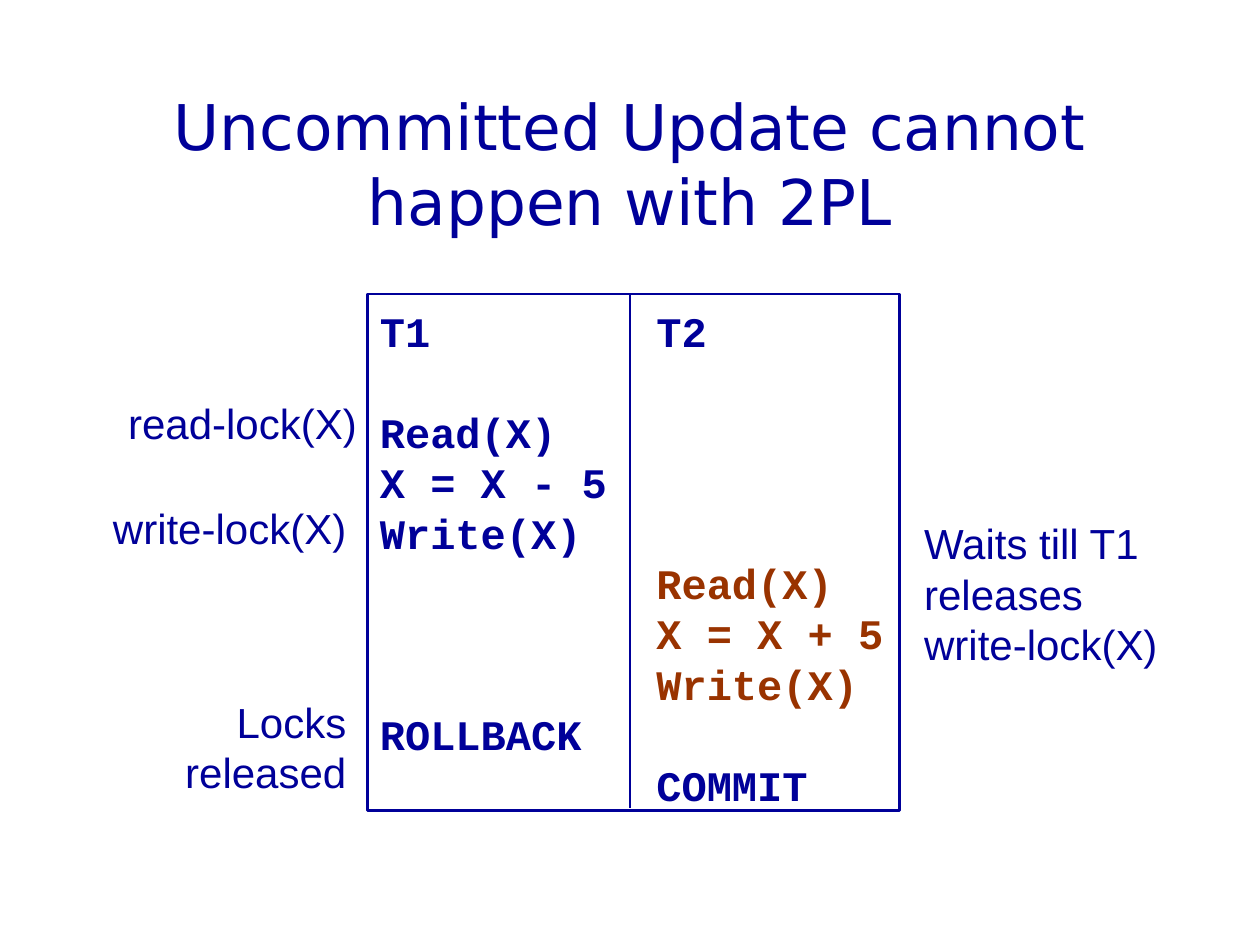
import pptx
import pptx.util
import pptx.dml.color
import pptx.enum.shapes
import pptx.enum.text
import pptx.oxml
from lxml import etree

Pt = pptx.util.Pt
ALIGN = pptx.enum.text.PP_ALIGN
ANCHOR = pptx.enum.text.MSO_ANCHOR
NAVY = "000099"
RUST = "993300"

TITLE = "Uncommitted Update cannot happen with 2PL"
SCHEDULE = [
    ("T1", "T2", NAVY),
    None,
    ("Read(X)", "", NAVY),
    ("X = X - 5", "", NAVY),
    ("Write(X)", "", NAVY),
    ("", "Read(X)", RUST),
    ("", "X = X + 5", RUST),
    ("", "Write(X)", RUST),
    ("ROLLBACK", "", NAVY),
    ("", "COMMIT", NAVY),
]
LABELS = [
    (["read-lock(X)"], 66, 222, 145, ALIGN.RIGHT),
    (["write-lock(X)"], 57.5, 282, 147.5, ALIGN.RIGHT),
    (["Waits till T1", "releases", "write-lock(X)"], 521, 291, 148, ALIGN.LEFT),
    (["Locks released"], 29.5, 393, 175.5, ALIGN.RIGHT),
]

TEXT_SIZE = 24
LINE_HEIGHT = 28.8
BOX_LEFT, BOX_TOP, BOX_WIDTH, BOX_HEIGHT = 210, 168, 304, 295
DIVIDER_LEFT = 360
SECOND_COLUMN = 158


def color(value):
    return pptx.dml.color.RGBColor.from_string(value)


def style(paragraph, font_name, size, value, alignment, bold=False):
    paragraph.alignment = alignment
    paragraph.font.name = font_name
    paragraph.font.size = Pt(size)
    paragraph.font.bold = bold
    paragraph.font.color.rgb = color(value)


def prepare_frame(shape, top_inset, wrap, anchor=ANCHOR.TOP):
    frame = shape.text_frame
    frame.word_wrap = wrap
    frame.vertical_anchor = anchor
    frame.margin_left = frame.margin_right = Pt(7.2)
    frame.margin_top = Pt(top_inset)
    frame.margin_bottom = Pt(3.6)
    return frame


def next_paragraph(frame, index):
    return frame.add_paragraph() if index else frame.paragraphs[0]


def add_tab_stop(paragraph, position):
    properties = paragraph._p.get_or_add_pPr()
    tabs = etree.SubElement(properties, pptx.oxml.ns.qn("a:tabLst"))
    etree.SubElement(tabs, pptx.oxml.ns.qn("a:tab"), pos=str(Pt(position)), algn="l")


def add_title(slide):
    box = slide.shapes.add_textbox(Pt(54), Pt(48), Pt(612), Pt(90))
    frame = prepare_frame(box, 3.6, True, ANCHOR.MIDDLE)
    paragraph = frame.paragraphs[0]
    paragraph.text = TITLE
    style(paragraph, "DejaVu Sans", 36, NAVY, ALIGN.CENTER)
    paragraph.line_spacing = Pt(43)


def add_schedule(slide):
    box = slide.shapes.add_shape(
        pptx.enum.shapes.MSO_SHAPE.RECTANGLE,
        Pt(BOX_LEFT), Pt(BOX_TOP), Pt(BOX_WIDTH), Pt(BOX_HEIGHT))
    box.shadow.inherit = False
    box.fill.background()
    box.line.color.rgb = color(NAVY)
    box.line.width = Pt(1.5)
    frame = prepare_frame(box, 6.6, True)
    gap = 0
    for index, row in enumerate(SCHEDULE):
        if row is None:
            gap = LINE_HEIGHT
            continue
        first, second, value = row
        paragraph = next_paragraph(frame, index)
        paragraph.text = f"{first}\t{second}" if second else first
        if second:
            add_tab_stop(paragraph, SECOND_COLUMN)
        style(paragraph, "Courier New", TEXT_SIZE, value, ALIGN.LEFT, True)
        paragraph.line_spacing = Pt(LINE_HEIGHT)
        paragraph.space_before = Pt(gap)
        gap = 0


def add_divider(slide):
    divider = slide.shapes.add_connector(
        pptx.enum.shapes.MSO_CONNECTOR.STRAIGHT,
        Pt(DIVIDER_LEFT), Pt(BOX_TOP), Pt(DIVIDER_LEFT), Pt(462))
    divider.line.color.rgb = color(NAVY)
    divider.line.width = Pt(1.5)
    etree.SubElement(divider._element.spPr, pptx.oxml.ns.qn("a:effectLst"))


def add_label(slide, lines, left, top, width, alignment):
    height = len(lines) * LINE_HEIGHT + 7.2
    box = slide.shapes.add_textbox(Pt(left), Pt(top), Pt(width), Pt(height))
    frame = prepare_frame(box, 5, False)
    for index, line in enumerate(lines):
        paragraph = next_paragraph(frame, index)
        paragraph.text = line
        style(paragraph, "Arial", TEXT_SIZE, NAVY, alignment)
        paragraph.line_spacing = Pt(LINE_HEIGHT)


def main():
    presentation = pptx.Presentation()
    presentation.slide_width = Pt(720)
    presentation.slide_height = Pt(540)
    slide = presentation.slides.add_slide(presentation.slide_layouts[6])
    add_title(slide)
    add_schedule(slide)
    add_divider(slide)
    for label in LABELS:
        add_label(slide, *label)
    presentation.save("out.pptx")


if __name__ == "__main__":
    main()
